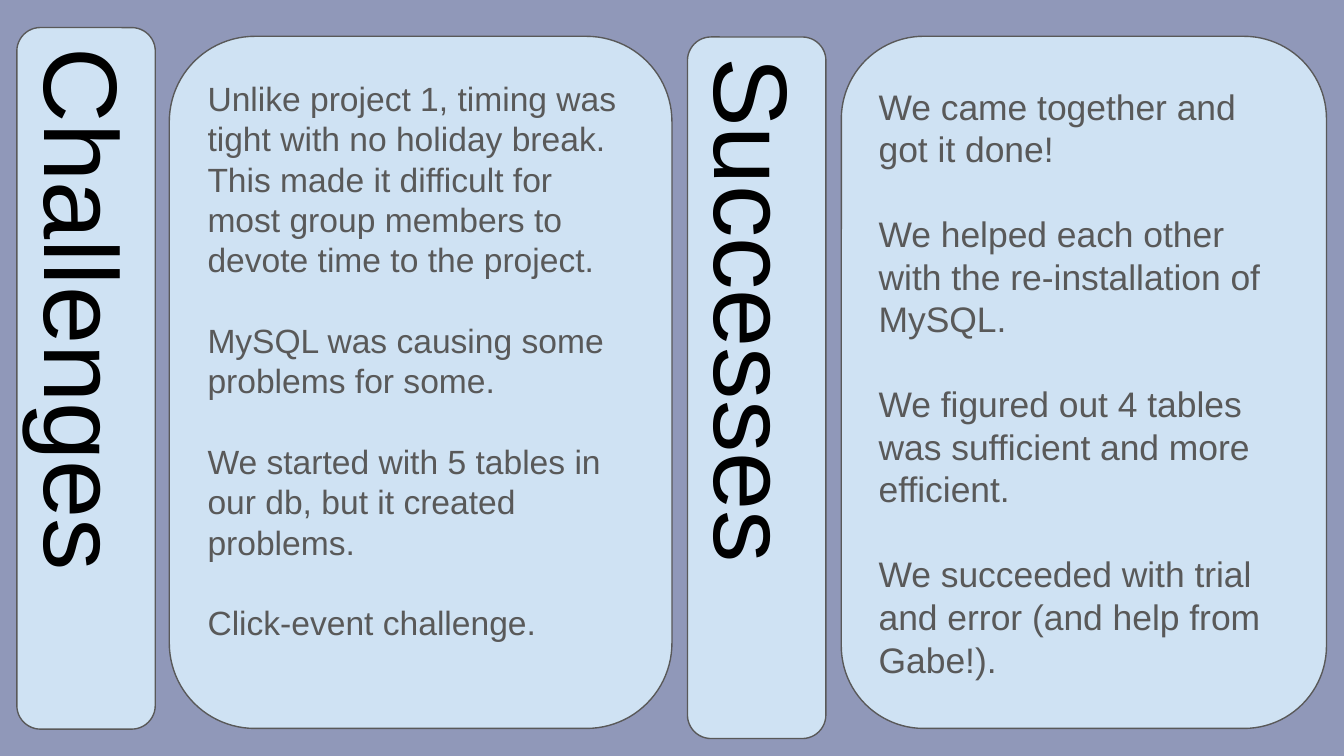
from pptx import Presentation
from pptx.dml.color import RGBColor
from pptx.enum import shapes, text
from pptx.util import Inches, Pt

BACK = RGBColor(0x90, 0x98, 0xB9)
PALE = RGBColor(0xCF, 0xE2, 0xF3)
GRAY = RGBColor(0x59, 0x59, 0x59)
BLACK = RGBColor(0, 0, 0)

TITLE = {"size": Pt(56), "name": "Arial"}
BODY = {"size": Pt(18), "name": "Arial"}
LARGE = {"size": Pt(19), "name": "Arial"}

CARDS = [
    {"box": (-1.97, 2.3, 5.22, 1.03), "turn": 90, "font": TITLE,
     "color": BLACK, "lines": ["Challenges"]},
    {"box": (1.26, 0.27, 3.74, 5.15), "font": BODY, "color": GRAY,
     "foot": 0.43, "lines": [
         "Unlike project 1, timing was tight with no holiday break. "
         "This made it difficult for most group members to devote time "
         "to the project.",
         "MySQL was causing some problems for some.",
         "We started with 5 tables in our db, but it created problems.",
         "Click-event challenge."]},
    {"box": (3.02, 2.37, 5.22, 1.03), "turn": 90, "font": TITLE,
     "color": BLACK, "lines": ["Successes"]},
    {"box": (6.26, 0.27, 3.61, 5.15), "font": LARGE, "color": GRAY,
     "lines": [
         "We came together and got it done!",
         "We helped each other with the re-installation of MySQL.",
         "We figured out 4 tables was sufficient and more efficient.",
         "We succeeded with trial and error (and help from Gabe!)."]},
]


def add_card(slide, card):
    box = [Inches(v) for v in card["box"]]
    shape = slide.shapes.add_shape(shapes.MSO_SHAPE.ROUNDED_RECTANGLE, *box)
    shape.rotation = card.get("turn", 0)
    shape.adjustments[0] = 0.17
    shape.shadow.inherit = False
    shape.fill.solid()
    shape.fill.fore_color.rgb = PALE
    shape.line.color.rgb = GRAY
    shape.line.width = Pt(0.75)
    frame = shape.text_frame
    form = {"word_wrap": True, "vertical_anchor": text.MSO_ANCHOR.MIDDLE,
            "margin_left": Inches(0.1), "margin_right": Inches(0.1),
            "margin_top": Inches(0.1),
            "margin_bottom": Inches(card.get("foot", 0.1))}
    for key, value in form.items():
        setattr(frame, key, value)
    for i, line in enumerate(card["lines"]):
        para = frame.add_paragraph() if i else frame.paragraphs[0]
        para.alignment = text.PP_ALIGN.LEFT
        if i:
            para.space_before = Pt(card["font"]["size"].pt * 1.2)
        run = para.add_run()
        run.text = line
        for key, value in card["font"].items():
            setattr(run.font, key, value)
        run.font.color.rgb = card["color"]


deck = Presentation()
deck.slide_width = Inches(10)
deck.slide_height = deck.slide_width * 9 // 16
slide = deck.slides.add_slide(deck.slide_layouts[6])
slide.background.fill.solid()
slide.background.fill.fore_color.rgb = BACK
for card in CARDS:
    add_card(slide, card)
deck.save("out.pptx")
